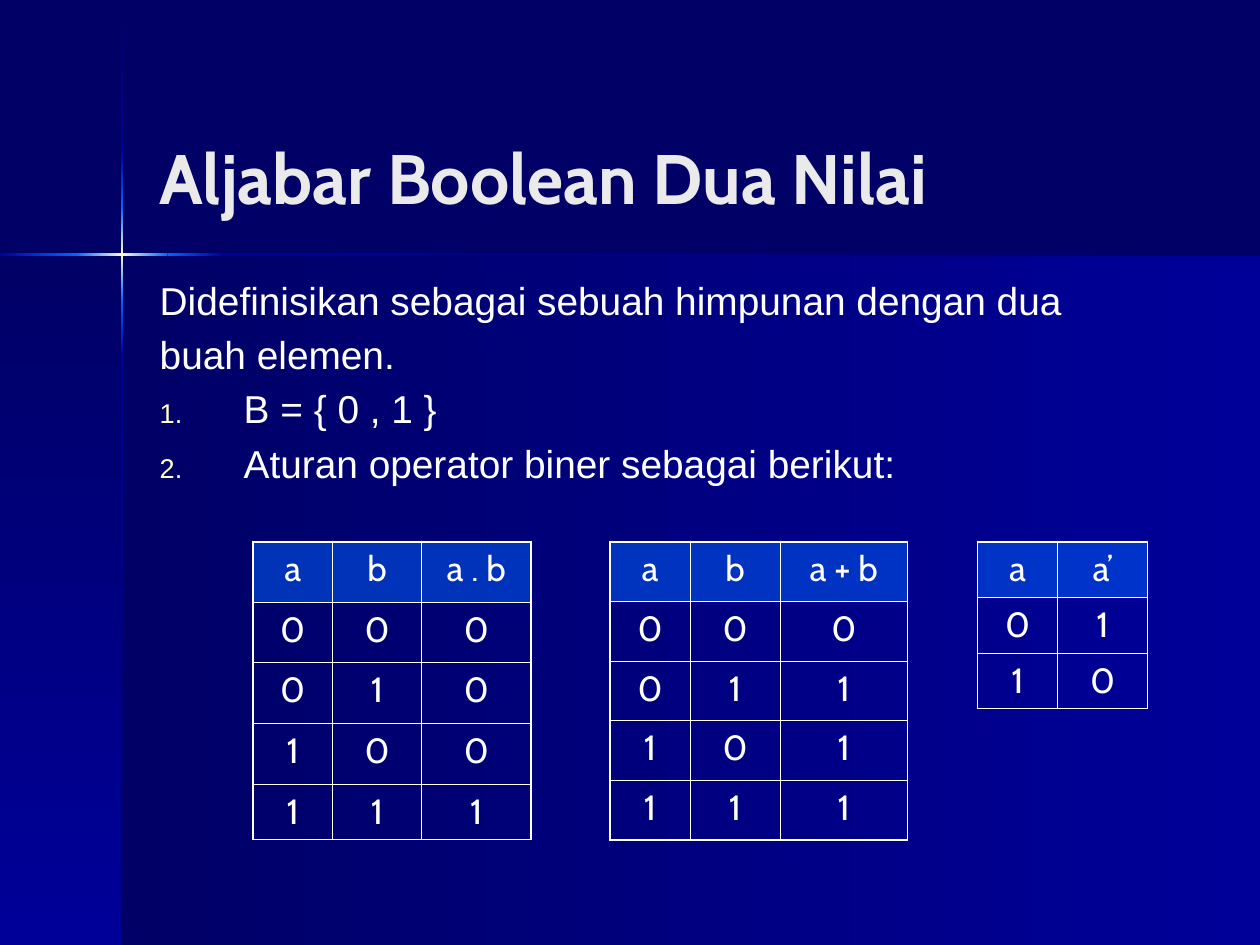
from dataclasses import dataclass
from itertools import pairwise

from pptx import Presentation
from pptx.dml.color import RGBColor
from pptx.enum.shapes import MSO_SHAPE as Preset
from pptx.enum.text import MSO_ANCHOR as Anchor, PP_ALIGN as Align
from pptx.oxml import parse_xml
from pptx.oxml.ns import nsdecls
from pptx.slide import Slide
from pptx.text.text import TextFrame
from pptx.util import Pt

COLORS = {
    "night": "000066",
    "royal": "000099",
    "azure": "0066FF",
    "glow": "FFFFCC",
    "title": "EAEAEA",
    "white": "FFFFFF",
}
HEADING_FONT = "Cabin"
BODY_FONT = "Arial"
OUTER_BORDER = 1.08
INNER_BORDER = 0.45
HANGING = 48
BEAM_WIDTH = 1.44
BEAM_FADES = [
    ("night", "royal"),
    ("royal", "azure"),
    ("azure", "glow", "azure"),
    ("azure", "royal"),
    ("royal", "night"),
]


@dataclass(frozen=True)
class Band:
    left: float
    top: float
    width: float
    height: float
    stops: tuple[str, ...]
    angle: int


@dataclass(frozen=True)
class TruthTable:
    left: float
    column_widths: tuple[float, ...]
    row_heights: tuple[float, ...]
    rows: tuple[tuple[str, ...], ...]


@dataclass(frozen=True)
class BodyLine:
    text: str
    numbered: bool = False


PANELS = [
    Band(69.8, 145.6, 650.2, 394.4, ("night", "royal"), 0),
    Band(0, 145.6, 69.8, 394.4, ("night", "royal"), 90),
]
VERTICAL_BEAM = [
    Band(69.1, start, BEAM_WIDTH, end - start, stops, 90)
    for (start, end), stops in zip(pairwise([0.7, 87, 118.8, 171.4, 203, 540]), BEAM_FADES)
]
HORIZONTAL_BEAM = [
    Band(start, 144.7, end - start, BEAM_WIDTH, stops, 0)
    for (start, end), stops in zip(pairwise([0, 43.5, 95.8, 127.4, 720]), BEAM_FADES[1:])
]
BODY_LINES = [
    BodyLine("Didefinisikan sebagai sebuah himpunan dengan dua"),
    BodyLine("buah elemen."),
    BodyLine("B = { 0 , 1 }", numbered=True),
    BodyLine("Aturan operator biner sebagai berikut:", numbered=True),
]
TABLES_TOP = 309.6
INPUTS = (("0", "0"), ("0", "1"), ("1", "0"), ("1", "1"))


def binary_rows(heading: str, results: str) -> tuple[tuple[str, ...], ...]:
    return (("a", "b", heading), *((*pair, result) for pair, result in zip(INPUTS, results)))


TRUTH_TABLES = [
    TruthTable(348.6, (45.8, 51.4, 72.8), (34.1,) * 5, binary_rows("a + b", "0111")),
    TruthTable(558.6, (45.8, 51.4), (31.8,) * 3, (("a", "a’"), ("0", "1"), ("1", "0"))),
    TruthTable(144.6, (45.4, 51, 62.4), (34.6,) * 4 + (31.8,), binary_rows("a . b", "0001")),
]


def rgb(name: str) -> RGBColor:
    return RGBColor.from_string(COLORS[name])


def draw_band(slide: Slide, band: Band) -> None:
    shape = slide.shapes.add_shape(
        Preset.RECTANGLE, Pt(band.left), Pt(band.top), Pt(band.width), Pt(band.height)
    )
    shape.shadow.inherit = False
    shape.line.fill.background()
    step = 100000 // (len(band.stops) - 1)
    stops = "".join(
        f'<a:gs pos="{index * step}"><a:srgbClr val="{COLORS[name]}"/></a:gs>'
        for index, name in enumerate(band.stops)
    )
    gradient = parse_xml(
        f'<a:gradFill {nsdecls("a")} rotWithShape="1"><a:gsLst>{stops}</a:gsLst>'
        f'<a:lin ang="{band.angle * 60000}" scaled="0"/></a:gradFill>'
    )
    shape._element.spPr.insert(2, gradient)


def add_text_frame(
    slide: Slide, left: float, top: float, width: float, height: float
) -> TextFrame:
    frame = slide.shapes.add_textbox(Pt(left), Pt(top), Pt(width), Pt(height)).text_frame
    frame.word_wrap = True
    return frame


def style_paragraph(paragraph, font_name: str, size: float, color: str) -> None:
    font = paragraph.font
    font.name, font.size = font_name, Pt(size)
    font.color.rgb = rgb(color)


def draw_title(slide: Slide) -> None:
    frame = add_text_frame(slide, 84.2, 65.5, 594, 70.6)
    frame.vertical_anchor = Anchor.MIDDLE
    paragraph = frame.paragraphs[0]
    paragraph.text = "Aljabar Boolean Dua Nilai"
    style_paragraph(paragraph, HEADING_FONT, 40, "title")
    paragraph.font.bold = True


def draw_body(slide: Slide) -> None:
    frame = add_text_frame(slide, 84.2, 157.5, 605, 136.8)
    for index, line in enumerate(BODY_LINES):
        paragraph = frame.add_paragraph() if index else frame.paragraphs[0]
        paragraph.text = line.text
        paragraph.line_spacing = 0.9
        if index:
            paragraph.space_before = Pt(7)
        properties = paragraph._p.get_or_add_pPr()
        properties.set("marL", str(Pt(HANGING)))
        properties.set("indent", str(-Pt(HANGING)))
        bullets = ["<a:buNone {}/>"]
        if line.numbered:
            bullets = [
                f'<a:buClr {{}}><a:srgbClr val="{COLORS["glow"]}"/></a:buClr>',
                '<a:buSzPct {} val="70000"/>',
                '<a:buFont {} typeface="Arial"/>',
                '<a:buAutoNum {} type="arabicPeriod"/>',
            ]
        for bullet in bullets:
            properties.append(parse_xml(bullet.format(nsdecls("a"))))
        style_paragraph(paragraph, BODY_FONT, 22.2, "white")


def set_borders(cell, outer_sides: dict[str, bool]) -> None:
    for index, (side, is_outer) in enumerate(outer_sides.items()):
        width = Pt(OUTER_BORDER if is_outer else INNER_BORDER)
        border = parse_xml(
            f'<a:ln{side} {nsdecls("a")} w="{width}"><a:solidFill>'
            f'<a:srgbClr val="{COLORS["white"]}"/></a:solidFill></a:ln{side}>'
        )
        cell._tc.get_or_add_tcPr().insert(index, border)


def fill_heading(cell) -> None:
    cell.fill.solid()
    cell.fill.fore_color.rgb = rgb("azure")
    color = cell._tc.tcPr.find(".//{*}srgbClr")
    color.append(parse_xml(f'<a:alpha {nsdecls("a")} val="50000"/>'))


def draw_truth_table(slide: Slide, data: TruthTable) -> None:
    last_row, last_column = len(data.rows) - 1, len(data.column_widths) - 1
    table = slide.shapes.add_table(
        last_row + 1, last_column + 1, Pt(data.left), Pt(TABLES_TOP),
        Pt(sum(data.column_widths)), Pt(sum(data.row_heights)),
    ).table
    table.first_row = table.horz_banding = False
    for column, width in zip(table.columns, data.column_widths):
        column.width = Pt(width)
    for row, height in zip(table.rows, data.row_heights):
        row.height = Pt(height)
    for row, values in enumerate(data.rows):
        for column, value in enumerate(values):
            cell = table.cell(row, column)
            paragraph = cell.text_frame.paragraphs[0]
            paragraph.text = value
            paragraph.alignment = Align.CENTER
            style_paragraph(paragraph, HEADING_FONT, 20, "white")
            if row == 0:
                fill_heading(cell)
            else:
                cell.fill.background()
            set_borders(cell, {
                "L": column == 0, "R": column == last_column,
                "T": row == 0, "B": row == last_row,
            })


def main() -> None:
    presentation = Presentation()
    presentation.slide_width, presentation.slide_height = Pt(720), Pt(540)
    slide = presentation.slides.add_slide(presentation.slide_layouts[6])
    slide.background.fill.solid()
    slide.background.fill.fore_color.rgb = rgb("night")
    for band in PANELS + VERTICAL_BEAM + HORIZONTAL_BEAM:
        draw_band(slide, band)
    draw_title(slide)
    draw_body(slide)
    for data in TRUTH_TABLES:
        draw_truth_table(slide, data)
    presentation.save("out.pptx")


if __name__ == "__main__":
    main()
